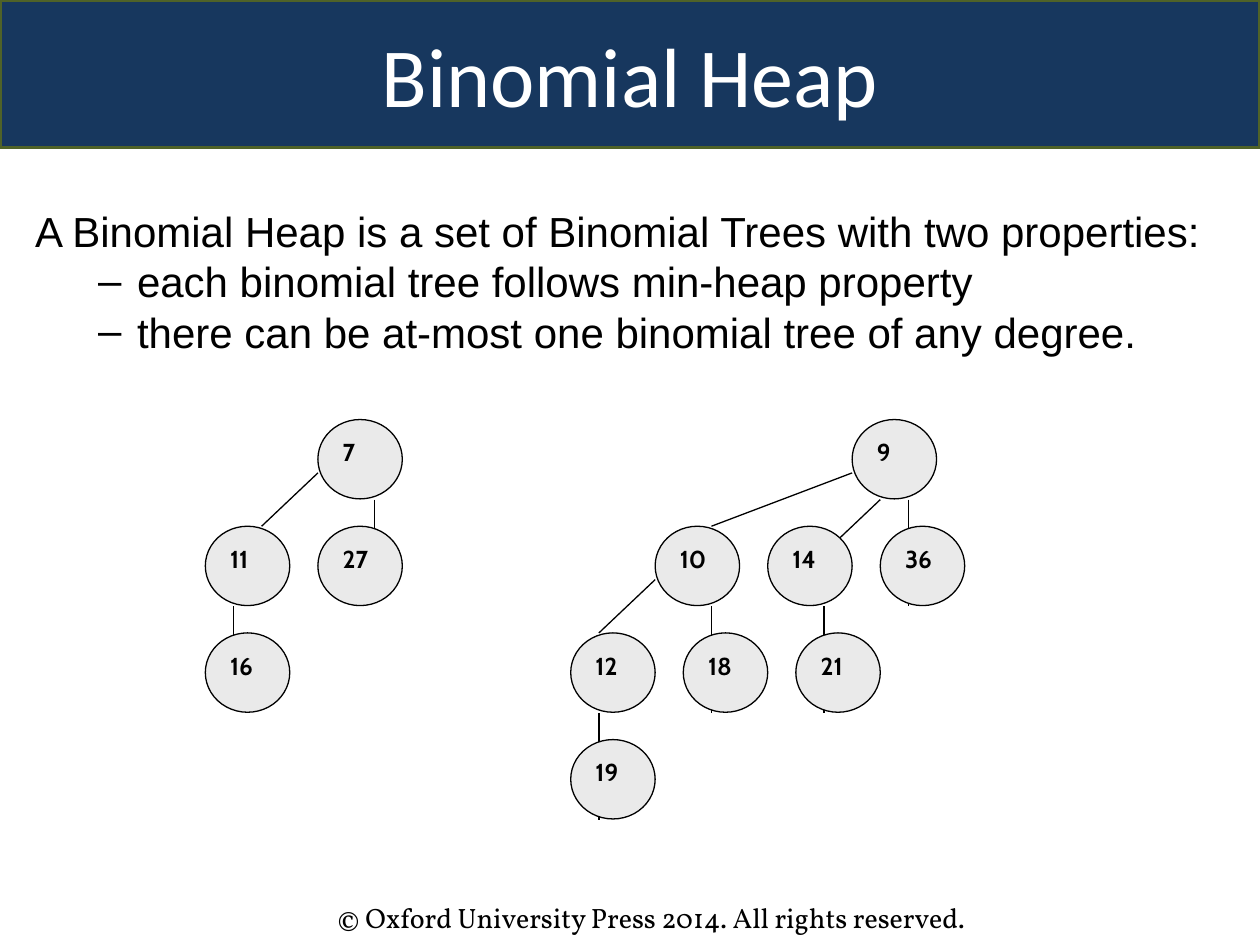
from lxml.etree import SubElement as Sub
from pptx import Presentation
from pptx.dml.color import RGBColor as Rgb
from pptx.enum.shapes import MSO_CONNECTOR as Link, MSO_SHAPE as Kind
from pptx.enum.text import MSO_ANCHOR as Anchor, PP_ALIGN as Align
from pptx.oxml.ns import qn
from pptx.util import Inches, Pt

HUES = {"navy": "17375E", "olive": "4F6228", "gray": "EAEAEA",
        "black": "000000", "white": "FFFFFF"}

# Tree grid: a node is three columns wide, a level is four steps high
WIDE, HIGH, TOP = 0.67, 0.63, 3.33
COL, STEP = WIDE / 3, 2.54 / 12

# Left edge, nodes (label, column, level), edges (column, step, column, step)
TREES = [
    (1.63,
     [("7", 4, 0), ("27", 4, 1), ("11", 0, 1), ("16", 0, 2)],
     [(6, 3, 6, 5), (4, 2, 2, 4), (1, 7, 1, 9)]),
    (4.53,
     [("9", 10, 0), ("36", 11, 1), ("14", 7, 1), ("10", 3, 1),
      ("18", 4, 2), ("12", 0, 2), ("21", 8, 2), ("19", 0, 3)],
     [(12, 3, 12, 7), (11, 3, 9, 5), (10, 2, 5, 4), (5, 7, 5, 11),
      (3, 6, 1, 8), (9, 7, 9, 11), (1, 11, 1, 15)]),
]


class Deck:
    fonts = {
        "title": {"name": "Calibri", "size": Pt(48), "hue": "white"},
        "body": {"name": "Arial", "size": Pt(24), "hue": "black"},
        "node": {"name": "Cabin", "size": Pt(14), "bold": True, "hue": "black"},
        "foot": {"name": "Vollkorn", "size": Pt(16), "hue": "black"},
    }

    def __init__(self):
        self.prs = Presentation()
        self.prs.slide_width, self.prs.slide_height = Inches(10), Inches(7.5)
        self.slide = self.prs.slides.add_slide(self.prs.slide_layouts[6])

    def hue(self, name):
        return Rgb.from_string(HUES[name])

    def style(self, para, role):
        for key, val in self.fonts[role].items():
            if key == "hue":
                para.font.color.rgb = self.hue(val)
            else:
                setattr(para.font, key, val)

    def bullet(self, para):
        props = para._p.get_or_add_pPr()
        props.set("lvl", "1")
        props.set("marL", str(Inches(0.81)))
        props.set("indent", str(Inches(-0.31)))
        Sub(props, qn("a:buFont"), typeface="Arial")
        Sub(props, qn("a:buChar"), char="–")

    def text(self, box, lines, role):
        frame = self.slide.shapes.add_textbox(*map(Inches, box)).text_frame
        frame.word_wrap = True
        for num, line in enumerate(lines):
            para = frame.add_paragraph() if num else frame.paragraphs[0]
            para.text = line
            if num:
                self.bullet(para)
            self.style(para, role)

    def shape(self, kind, box, label, role, fill, edge, width,
              align=Align.LEFT, anchor=Anchor.TOP):
        item = self.slide.shapes.add_shape(kind, *map(Inches, box))
        item.shadow.inherit = False
        item.fill.solid()
        item.fill.fore_color.rgb = self.hue(fill)
        item.line.color.rgb = self.hue(edge)
        item.line.width = Pt(width)
        item.text_frame.vertical_anchor = anchor
        para = item.text_frame.paragraphs[0]
        para.text, para.alignment = label, align
        self.style(para, role)
        return item

    def line(self, *ends):
        item = self.slide.shapes.add_connector(Link.STRAIGHT, *map(Inches, ends))
        item.line.color.rgb = self.hue("black")
        item.line.width = Pt(0.75)
        Sub(item._element.spPr, qn("a:effectLst"))

    def tree(self, left, nodes, edges):
        # Edges go first so that the nodes cover their ends
        for col1, step1, col2, step2 in edges:
            self.line(left + col1 * COL, TOP + step1 * STEP,
                      left + col2 * COL, TOP + step2 * STEP)
        for label, col, level in nodes:
            box = left + col * COL, TOP + level * 4 * STEP, WIDE, HIGH
            self.shape(Kind.OVAL, box, label, "node", "gray", "black", 0.75)


def main():
    deck = Deck()

    # Footer and title band
    deck.text((2.58, 7.1, 5.92, 0.37),
              ["© Oxford University Press 2014. All rights reserved."], "foot")
    band = deck.shape(Kind.ROUNDED_RECTANGLE, (0, 0, 10, 1.17), "Binomial Heap",
                      "title", "navy", "olive", 2, Align.CENTER, Anchor.MIDDLE)
    band.adjustments[0] = 0

    # Definition
    deck.text((0.18, 1.58, 9.67, 1.3), [
        "A Binomial Heap is a set of Binomial Trees with two properties:",
        "each binomial tree follows min-heap property",
        "there can be at-most one binomial tree of any degree.",
    ], "body")

    # Binomial trees
    for tree in TREES:
        deck.tree(*tree)

    deck.prs.save("out.pptx")


if __name__ == "__main__":
    main()
